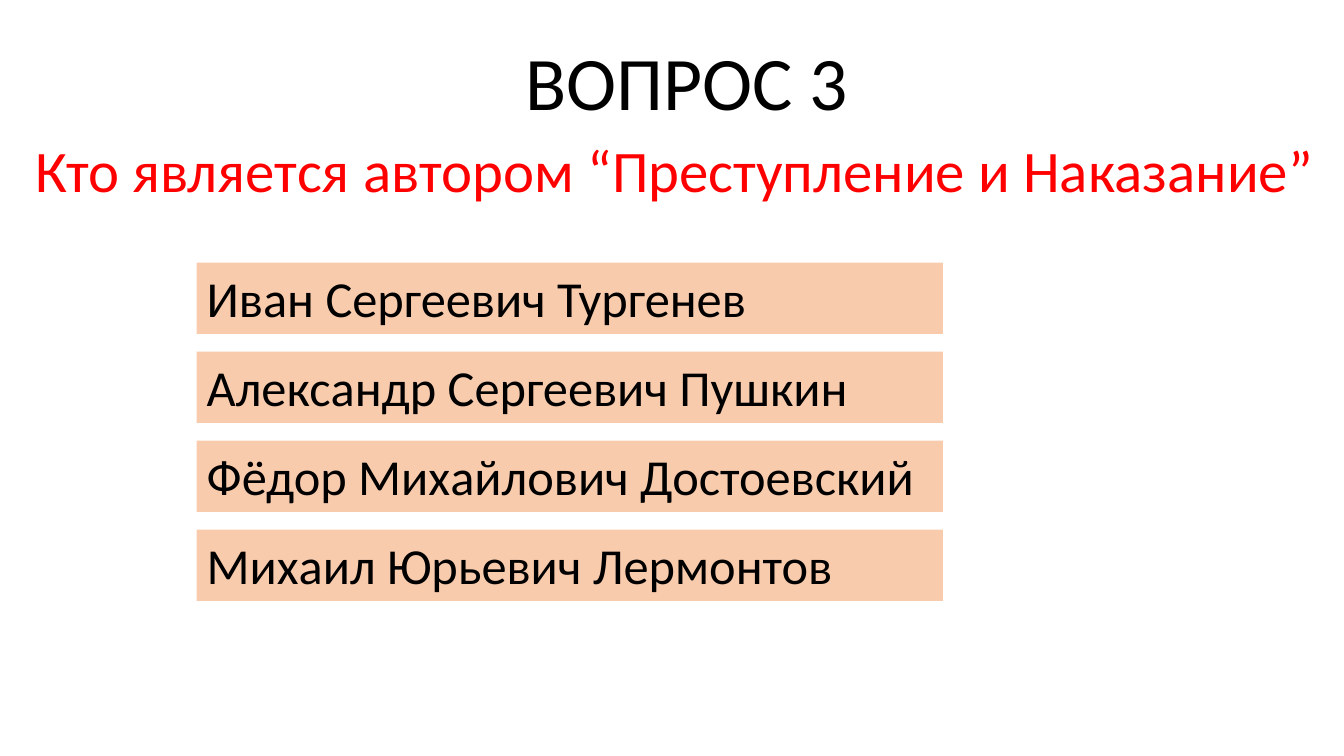
from pptx import Presentation
from pptx.dml.color import RGBColor
from pptx.enum.shapes import MSO_SHAPE
from pptx.enum.text import MSO_ANCHOR, PP_ALIGN
from pptx.util import Pt

# Content
TITLE = "ВОПРОС 3"
QUESTION = "Кто является автором “Преступление и Наказание”"
ANSWERS = [
    "Иван Сергеевич Тургенев",
    "Александр Сергеевич Пушкин",
    "Фёдор Михайлович Достоевский",
    "Михаил Юрьевич Лермонтов",
]

# Style and answer layout, in points
BLACK = RGBColor(0x00, 0x00, 0x00)
RED = RGBColor(0xFF, 0x00, 0x00)
PEACH = RGBColor(0xF8, 0xCB, 0xAD)
FONT = "Calibri"
LEFT, TOP, WIDTH, HEIGHT, STEP = 140.5, 187.5, 533, 51, 63.6


def set_text(sp, text, size, color, align=PP_ALIGN.LEFT, anchor=MSO_ANCHOR.TOP):
    tf = sp.text_frame
    tf.text = text
    tf.word_wrap = True
    tf.vertical_anchor = anchor
    p = tf.paragraphs[0]
    p.alignment = align
    font = p.runs[0].font
    font.name, font.size, font.color.rgb = FONT, Pt(size), color


prs = Presentation()
prs.slide_width, prs.slide_height = Pt(960), Pt(540)
s = prs.slides.add_slide(prs.slide_layouts[5])

# Title
title = s.shapes.title
title.left, title.top, title.width, title.height = Pt(366.5), Pt(18), Pt(248), Pt(76)
set_text(title, TITLE, 54, BLACK, PP_ALIGN.CENTER, MSO_ANCHOR.BOTTOM)
title.text_frame.paragraphs[0].line_spacing = 0.9

# Question
question = s.shapes.add_textbox(Pt(18), Pt(92), Pt(981), Pt(58))
set_text(question, QUESTION, 42, RED)

# Answers
for i, answer in enumerate(ANSWERS):
    sp = s.shapes.add_shape(
        MSO_SHAPE.RECTANGLE, Pt(LEFT), Pt(TOP + i * STEP), Pt(WIDTH), Pt(HEIGHT))
    sp.shadow.inherit = False
    sp.fill.solid()
    sp.fill.fore_color.rgb = PEACH
    sp.line.fill.background()
    set_text(sp, answer, 36, BLACK)

prs.save("out.pptx")
